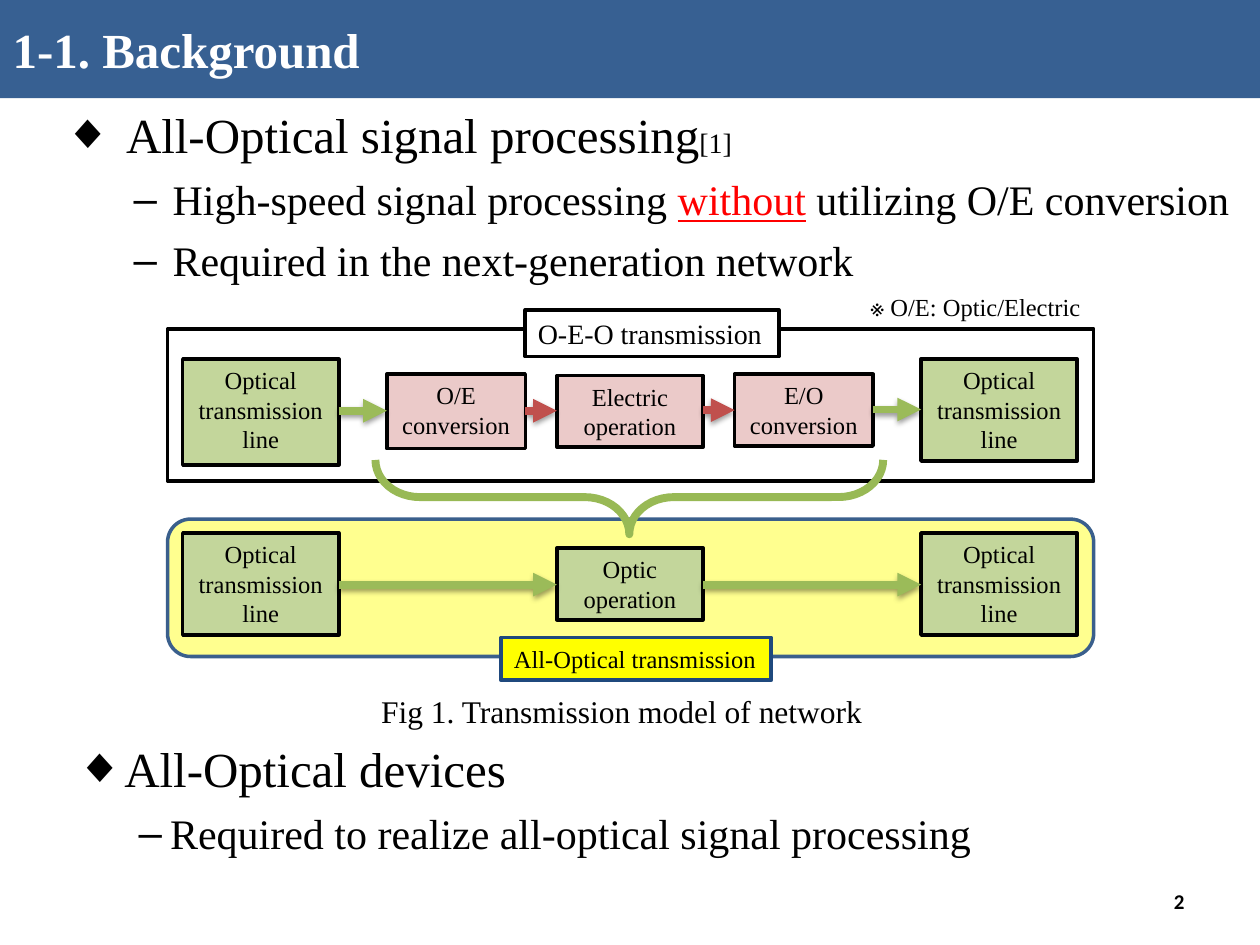
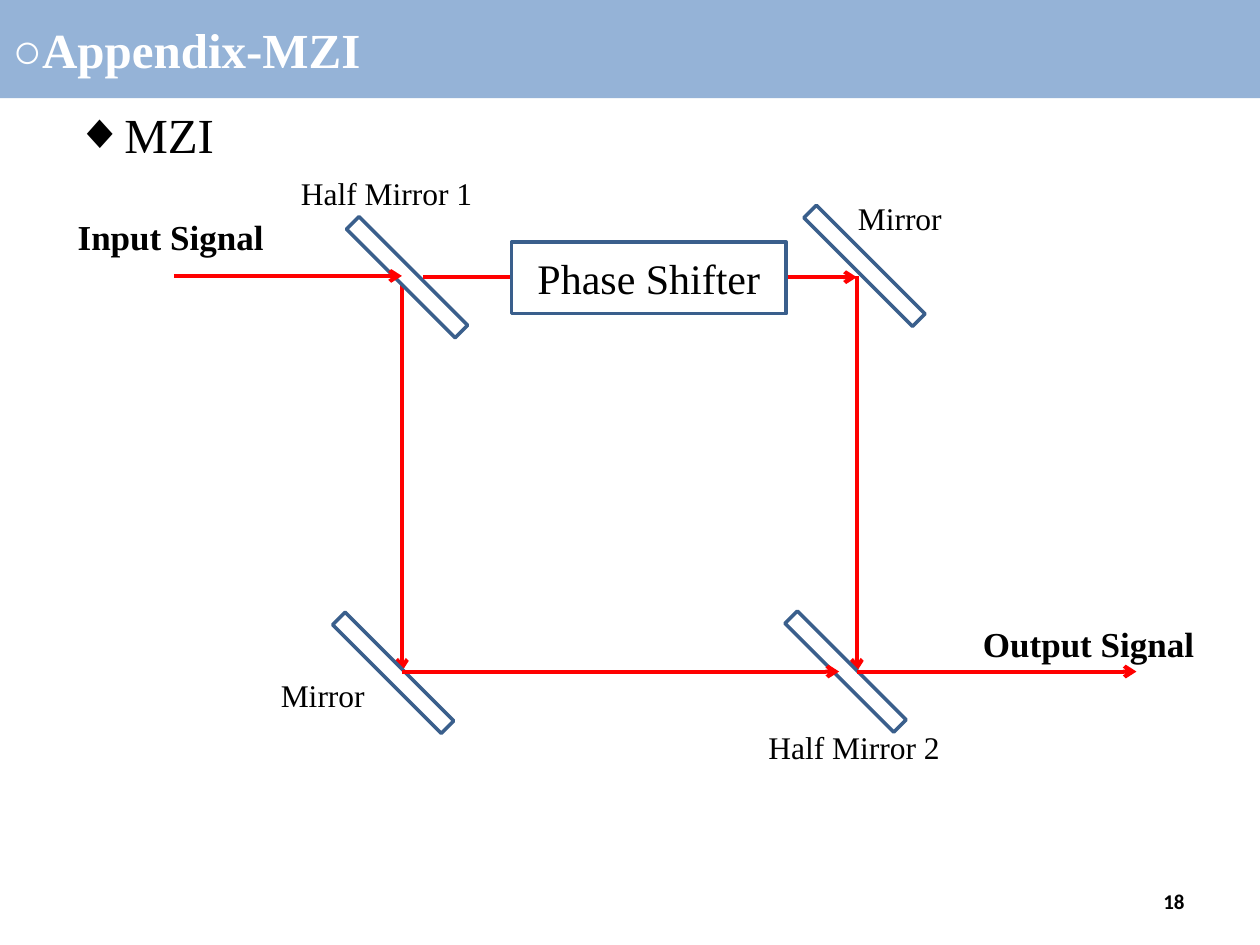
import dataclasses

import lxml.etree
import pptx
import pptx.dml.color
import pptx.enum.shapes
import pptx.enum.text
import pptx.oxml.ns
import pptx.util

SHAPE = pptx.enum.shapes.MSO_SHAPE
ALIGN = pptx.enum.text.PP_ALIGN
ANCHOR = pptx.enum.text.MSO_ANCHOR
CELL = pptx.util.Inches(0.1)
COLUMNS, ROWS = 100, 75


@dataclasses.dataclass(frozen=True)
class Theme:
    """Colours, fonts and type sizes of the deck."""
    serif: str = "Times New Roman"
    sans: str = "Calibri"
    black: str = "000000"
    white: str = "FFFFFF"
    red: str = "FF0000"
    yellow: str = "FFFF00"
    band: str = "376092"
    appendix_band: str = "95B3D7"
    outline: str = "3A5F8C"
    navy: str = "1F497D"
    optic: str = "C3D69B"
    electric: str = "D99694"
    optic_arrow: str = "9BBB59"
    electric_arrow: str = "C0504D"
    brace: str = "98B955"
    heading: int = 28
    point: int = 24
    signal: int = 20
    caption: int = 18
    label: int = 16
    small: int = 14
    number: int = 12


THEME = Theme()


@dataclasses.dataclass(frozen=True)
class Bullet:
    """Level, mark and indents in inches of a list item."""
    level: int
    mark: str
    margin: float
    hanging: float


TOPIC = Bullet(0, "◆", 0.9, 0.5)
DETAIL = Bullet(1, "‒", 1.27, 0.31)
INNER_TOPIC = Bullet(1, "◆", 0.81, 0.31)
INNER_DETAIL = Bullet(2, "‒", 1.25, 0.25)


def rgb(value):
    """Turn a hex string into a colour."""
    return pptx.dml.color.RGBColor.from_string(value)


def grid(*cells):
    """Turn grid cells into slide lengths."""
    return [round(cell * CELL) for cell in cells]


def add_node(parent, tag, **attributes):
    """Append a drawing element with attributes."""
    node = lxml.etree.SubElement(parent, pptx.oxml.ns.qn(tag))
    for key, value in attributes.items():
        node.set(key, str(value))
    return node


def add_run(paragraph, text, size, color=THEME.black, bold=False,
            underline=False, font=THEME.serif):
    """Add one formatted run."""
    run = paragraph.add_run()
    run.text = text
    run.font.name = font
    run.font.size = pptx.util.Pt(size)
    run.font.bold = bold
    run.font.underline = underline
    run.font.color.rgb = rgb(color)


def write(shape, lines, size, align=ALIGN.LEFT, anchor=ANCHOR.TOP,
          wrap=True, **style):
    """Write one paragraph for each line."""
    frame = shape.text_frame
    frame.auto_size = pptx.enum.text.MSO_AUTO_SIZE.NONE
    frame.word_wrap = wrap
    frame.vertical_anchor = anchor
    for index, line in enumerate(lines):
        paragraph = frame.add_paragraph() if index else frame.paragraphs[0]
        paragraph.alignment = align
        add_run(paragraph, line, size, **style)


def add_label(slide, place, text, size=THEME.caption, **style):
    """Add a text box."""
    write(slide.shapes.add_textbox(*grid(*place)), [text], size, **style)


def add_block(slide, place, kind=SHAPE.RECTANGLE, fill=None, alpha=None,
              line=THEME.black, width=2, turn=0):
    """Add a filled or hollow outlined shape."""
    block = slide.shapes.add_shape(kind, *grid(*place))
    block.shadow.inherit = False
    block.rotation = turn
    block.line.color.rgb = rgb(line)
    block.line.width = pptx.util.Pt(width)
    if fill is None:
        block.fill.background()
        return block
    block.fill.solid()
    block.fill.fore_color.rgb = rgb(fill)
    if alpha:
        tint = block.element.spPr.find(
            pptx.oxml.ns.qn("a:solidFill") + "/" + pptx.oxml.ns.qn("a:srgbClr"))
        add_node(tint, "a:alpha", val=alpha * 1000)
    return block


def add_stage(slide, place, lines, **look):
    """Add a box of the transmission model."""
    write(add_block(slide, place, **look), lines, THEME.small, ALIGN.CENTER)


def add_arrow(slide, start, end, color, width, head, shadow=False):
    """Add an arrow, with a soft shadow if asked."""
    arrow = slide.shapes.add_connector(
        pptx.enum.shapes.MSO_CONNECTOR.STRAIGHT, *grid(*start, *end))
    arrow.line.color.rgb = rgb(color)
    arrow.line.width = pptx.util.Pt(width)
    properties = arrow._element.spPr
    add_node(properties.find(pptx.oxml.ns.qn("a:ln")), "a:tailEnd", type=head)
    effects = add_node(properties, "a:effectLst")
    if shadow:
        cast = add_node(effects, "a:outerShdw", blurRad=pptx.util.Pt(3.1),
                        dist=pptx.util.Pt(1.6), dir=90 * 60000, rotWithShape=0)
        shade = add_node(cast, "a:srgbClr", val=THEME.black)
        add_node(shade, "a:alpha", val=38000)


def add_item(frame, bullet, runs, first=False, before=6):
    """Add a bulleted item made of runs."""
    paragraph = frame.paragraphs[0] if first else frame.add_paragraph()
    paragraph.level = bullet.level
    paragraph.space_before = pptx.util.Pt(before)
    layout = paragraph._p.get_or_add_pPr()
    layout.set("marL", str(pptx.util.Inches(bullet.margin)))
    layout.set("indent", str(-pptx.util.Inches(bullet.hanging)))
    add_node(layout, "a:buChar", char=bullet.mark)
    for text, size, style in runs:
        add_run(paragraph, text, size, **style)


def place_at(shape, *cells):
    """Move and size a placeholder."""
    shape.left, shape.top, shape.width, shape.height = grid(*cells)


def start_slide(deck, title, band, number):
    """Add a slide with band title and number; return it and its body frame."""
    slide = deck.slides.add_slide(deck.slide_layouts[1])
    heading, body = slide.shapes.title, slide.placeholders[1]
    place_at(heading, 0, 0, COLUMNS, 7.8)
    heading.fill.solid()
    heading.fill.fore_color.rgb = rgb(band)
    write(heading, [title], THEME.heading, anchor=ANCHOR.MIDDLE,
          color=THEME.white, bold=True)
    place_at(body, 0, 7.8, COLUMNS, ROWS - 7.8)
    body.text_frame.auto_size = pptx.enum.text.MSO_AUTO_SIZE.NONE
    add_label(slide, (71.7, 69.5, 23.3, 4), number, THEME.number,
              align=ALIGN.RIGHT, anchor=ANCHOR.MIDDLE, bold=True,
              font=THEME.sans)
    return slide, body.text_frame


def add_transmission_model(slide):
    """Draw the electrical and all-optical transmission chains."""
    add_block(slide, (13.3, 26.1, 73.5, 12.1))
    add_block(slide, (13.3, 41.2, 73.5, 10.9), SHAPE.ROUNDED_RECTANGLE,
              THEME.yellow, 44, THEME.outline)
    for left, top, height in ((14.5, 28.5, 8.4), (73.1, 28.5, 8.1),
                              (14.5, 42.3, 8.1), (73.1, 42.3, 8.1)):
        add_stage(slide, (left, top, 12.4, height),
                  ["Optical transmission line"], fill=THEME.optic)
    for place, lines in (
            ((30.7, 29.7, 11, 5.9), ["O/E conversion"]),
            ((44.2, 29.8, 11.6, 5.7), ["Electric operation"]),
            ((58.3, 29.7, 11, 5.7), ["E/O", "conversion"])):
        add_stage(slide, place, lines, fill=THEME.electric, alpha=50)
    add_stage(slide, (44.2, 43.5, 11.6, 5.7), ["Optic", "operation"],
              fill=THEME.optic)
    for start, end, row, color in (
            (26.9, 30.7, 32.6, THEME.optic_arrow),
            (41.7, 44.2, 32.6, THEME.electric_arrow),
            (55.8, 58.3, 32.55, THEME.electric_arrow),
            (69.3, 73.1, 32.5, THEME.optic_arrow),
            (26.9, 44.2, 46.4, THEME.optic_arrow),
            (55.8, 73.1, 46.4, THEME.optic_arrow)):
        add_arrow(slide, (start, row), (end, row), color, 4.5, "triangle", True)
    brace = add_block(slide, (47, 19.3, 5.9, 40.3), SHAPE.LEFT_BRACE,
                      line=THEME.brace, width=4.5, turn=270)
    brace.adjustments[0], brace.adjustments[1] = 0.6, 0.5
    for place, text, size, fill, line in (
            ((39.8, 50.6, 21.4, 3.4), "All-Optical transmission", THEME.small,
             THEME.yellow, THEME.navy),
            ((41.7, 24.6, 20.1, 3.7), "O-E-O transmission", THEME.label,
             THEME.white, THEME.black)):
        tag = add_block(slide, place, fill=fill, line=line, width=2.25)
        write(tag, [text], size, wrap=False)


def build_background(deck):
    """Build the background slide."""
    slide, body = start_slide(deck, "1-1. Background", THEME.band, "2")
    add_item(body, TOPIC, [
        ("All-Optical signal processing", THEME.heading, {}),
        ("[1]", THEME.label, {})], first=True)
    add_item(body, DETAIL, [
        ("High-speed signal processing ", THEME.point, {}),
        ("without", THEME.point, {"color": THEME.red, "underline": True}),
        (" utilizing O/E conversion", THEME.point, {})])
    add_item(body, DETAIL, [
        ("Required in the next-generation network", THEME.point, {})])
    add_item(body, INNER_TOPIC, [
        ("All-Optical devices", THEME.heading, {})], before=259)
    add_item(body, INNER_DETAIL, [
        ("Required to realize all-optical signal processing",
         THEME.point, {})])
    add_label(slide, (68.1, 22.7, 19.7, 3.4), "※ O/E: Optic/Electric",
              THEME.small, wrap=False)
    add_label(slide, (20.7, 54.4, 57.3, 4),
              "Fig 1. Transmission model of network", align=ALIGN.CENTER)
    add_transmission_model(slide)


def build_interferometer(deck):
    """Build the appendix slide with the light paths between mirrors."""
    slide, body = start_slide(deck, "○Appendix-MZI", THEME.appendix_band, "18")
    add_item(body, INNER_TOPIC, [("MZI", THEME.heading, {})], first=True)
    left, right, top, bottom = 31.9, 68, 21.9, 53.3

    def add_beam(start, end):
        """Add one light path."""
        add_arrow(slide, start, end, THEME.red, 2.25, "arrow")

    def add_mirror(x, y):
        """Add one tilted mirror."""
        add_block(slide, (x, y, 12.2, 1.4), fill=THEME.white,
                  line=THEME.outline, turn=45)

    add_beam((left, 22), (left, bottom))
    add_mirror(26.2, 21.3)
    add_beam((13.8, top), (left, top))
    add_beam((33.6, 22), (right, 22))
    add_mirror(62.5, 20.4)
    add_mirror(25.1, 52.7)
    add_beam((right, top), (right, bottom))
    add_mirror(61, 52.6)
    add_beam((right, bottom), (90.2, bottom))
    add_beam((left, bottom), (66.6, bottom))
    shifter = add_block(slide, (40.6, 19.2, 21.8, 5.7), fill=THEME.white,
                        line=THEME.outline)
    write(shifter, ["Phase Shifter"], THEME.point, ALIGN.CENTER, ANCHOR.MIDDLE)
    for x, y, width, text in ((22.9, 13.3, 16.5, "Half Mirror 1"),
                              (60, 57.3, 17.5, "Half Mirror 2"),
                              (67.1, 15.3, 10.1, "Mirror"),
                              (21.3, 53.2, 10.1, "Mirror")):
        add_label(slide, (x, y, width, 4), text)
    for x, y, width, text in ((4.3, 16.6, 18.5, "Input Signal"),
                              (76.4, 48.9, 20, "Output Signal")):
        add_label(slide, (x, y, width, 4.4), text, THEME.signal,
                  align=ALIGN.CENTER, bold=True)


def main():
    """Build and save the deck."""
    deck = pptx.Presentation()
    deck.slide_width, deck.slide_height = grid(COLUMNS, ROWS)
    build_background(deck)
    build_interferometer(deck)
    deck.save("out.pptx")


main()
